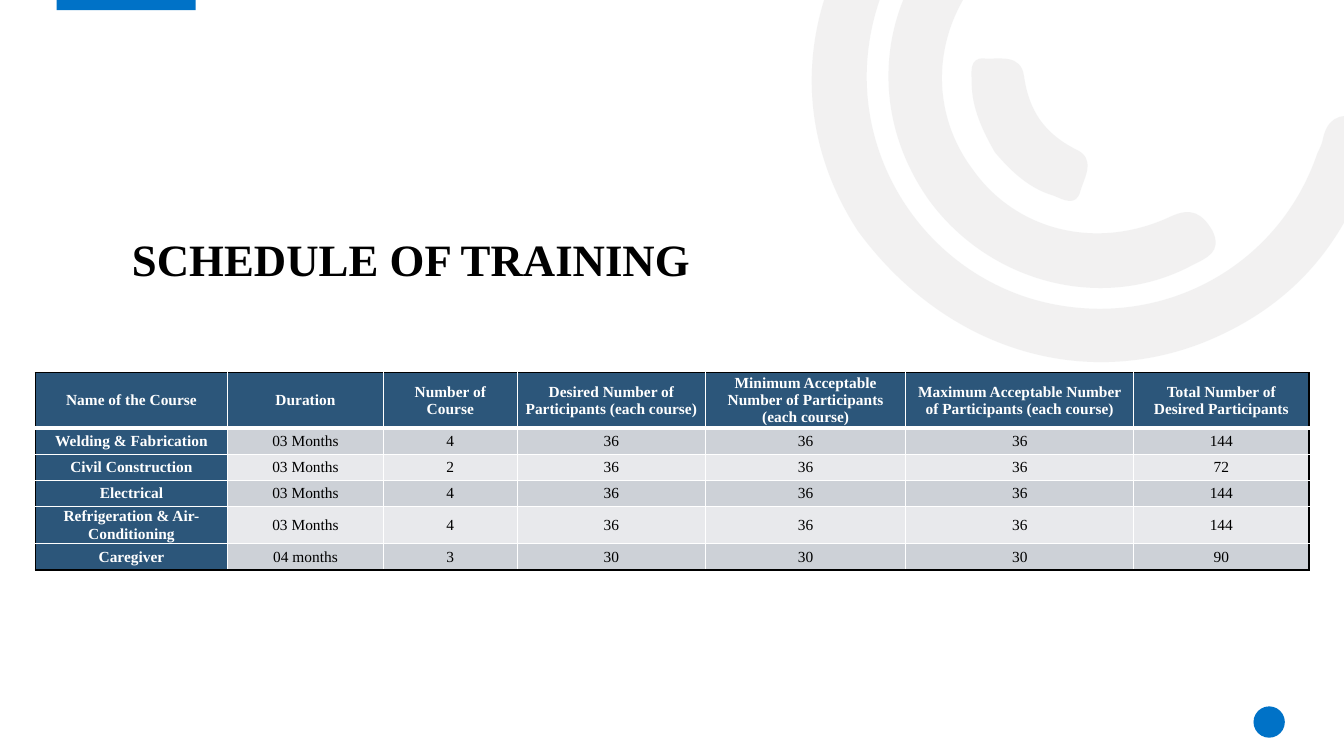
from math import cos, radians, sin

from lxml.etree import SubElement
from pptx import Presentation
from pptx.dml.color import RGBColor
from pptx.enum.shapes import MSO_SHAPE
from pptx.enum.text import MSO_ANCHOR, PP_ALIGN
from pptx.oxml.ns import qn
from pptx.util import Cm, Pt

FONT = "Times New Roman"
COLORS = {
    "accent": "0072C7",
    "arc": "E7E6E6",
    "header": "2C567A",
    "odd": "CDD1D7",
    "even": "E8E9EC",
    "white": "FFFFFF",
    "black": "000000",
}

# Arc outlines as seen on the slide: a start point, then cubic segments
# (two controls and an end). One outline unit is 2.54 cm.
ARC_UNIT = Cm(2.54)
ARC_ROTATION = 144.2
ARCS = [
    [(8.51, 2.29),
     (7.99, 1.49), (7.87, 0.5), (8.38, -0.5),
     (8.9, -1.52), (9.76, -2.03), (10.9, -2.07),
     (11.05, -2.07), (11.21, -2.1), (11.31, -1.95),
     (11.44, -1.75), (11.27, -1.54), (10.98, -1.54),
     (9.67, -1.54), (8.65, -0.59), (8.6, 0.68),
     (8.56, 1.81), (9.36, 2.81), (10.46, 3.02),
     (11.6, 3.24), (12.7, 2.61), (13.07, 1.52),
     (13.09, 1.48), (13.11, 1.44), (13.12, 1.4),
     (13.16, 1.19), (13.27, 1.11), (13.49, 1.17),
     (13.73, 1.24), (13.67, 1.41), (13.61, 1.56),
     (13.34, 2.45), (12.78, 3.07), (11.91, 3.41),
     (10.7, 3.87), (9.36, 3.45), (8.51, 2.29)],
    [(9.22, 1.99),
     (8.62, 1.15), (8.69, 0.07), (9.4, -0.68),
     (9.51, -0.79), (9.62, -0.95), (9.8, -0.78),
     (9.95, -0.64), (9.97, -0.5), (9.79, -0.32),
     (9.25, 0.26), (9.2, 1.08), (9.65, 1.68),
     (10.08, 2.29), (10.88, 2.49), (11.61, 2.15),
     (11.82, 2.05), (11.93, 2.12), (12.03, 2.29),
     (12.13, 2.5), (11.97, 2.56), (11.83, 2.63),
     (10.96, 3.1), (9.83, 2.82), (9.22, 1.99)],
    [(9.87, 1.51),
     (9.75, 1.3), (9.64, 1.07), (9.64, 0.82),
     (9.64, 0.73), (9.61, 0.57), (9.76, 0.58),
     (9.92, 0.59), (10.13, 0.53), (10.16, 0.76),
     (10.21, 1.1), (10.36, 1.32), (10.67, 1.48),
     (10.88, 1.57), (10.76, 1.76), (10.72, 1.89),
     (10.68, 2.06), (10.55, 1.98), (10.45, 1.94),
     (10.21, 1.87), (10.03, 1.7), (9.87, 1.51)],
]

COLUMN_WIDTHS = [4.85, 3.92, 3.38, 4.74, 5.05, 5.74, 4.42]
ROW_HEIGHTS = [1.22] + [0.66] * 5
SCHEDULE = [
    ["Name of the Course", "Duration", "Number of Course",
     "Desired Number of Participants (each course)",
     "Minimum Acceptable Number of Participants (each course)",
     "Maximum Acceptable Number of Participants (each course)",
     "Total Number of Desired Participants"],
    ["Welding & Fabrication", "03 Months", "4", "36", "36", "36", "144"],
    ["Civil Construction", "03 Months", "2", "36", "36", "36", "72"],
    ["Electrical", "03 Months", "4", "36", "36", "36", "144"],
    ["Refrigeration & Air-Conditioning", "03 Months", "4", "36", "36", "36", "144"],
    ["Caregiver", "04 months", "3", "30", "30", "30", "90"],
]


def rgb(name):
    return RGBColor.from_string(COLORS[name])


def write_text(frame, text, *, size, color, bold, line_spacing, space_after=0):
    paragraph = frame.paragraphs[0]
    paragraph.alignment = PP_ALIGN.CENTER
    paragraph.line_spacing = line_spacing
    paragraph.space_after = Pt(space_after)
    run = paragraph.add_run()
    run.text = text
    run.font.name = FONT
    run.font.size = Pt(size)
    run.font.bold = bold
    run.font.color.rgb = rgb(color)


def paint(shape, color):
    shape.shadow.inherit = False
    shape.fill.solid()
    shape.fill.fore_color.rgb = rgb(color)
    shape.line.fill.background()


def add_accent(slide, kind, left, top, width, height):
    shape = slide.shapes.add_shape(kind, Cm(left), Cm(top), Cm(width), Cm(height))
    paint(shape, "accent")


def rotate(x, y, degrees):
    angle = radians(degrees)
    return (round(x * cos(angle) - y * sin(angle)),
            round(x * sin(angle) + y * cos(angle)))


def curve_outline(shape):
    """Turn each three straight segments into one cubic segment."""
    lines = list(shape.element.iter(qn("a:lnTo")))
    for first in range(0, len(lines), 3):
        curve = lines[first]
        cubic = curve.makeelement(qn("a:cubicBezTo"))
        curve.addprevious(cubic)
        for line in lines[first:first + 3]:
            cubic.append(line[0])
            line.getparent().remove(line)


def add_arc(slide, outline):
    # Draw the outline upright, then turn the shape into its place
    points = [rotate(x * ARC_UNIT, y * ARC_UNIT, -ARC_ROTATION) for x, y in outline]
    builder = slide.shapes.build_freeform(*points[0])
    builder.add_line_segments(points[1:], close=True)
    shape = builder.convert_to_shape()
    curve_outline(shape)
    center_x, center_y = rotate(shape.left + shape.width / 2,
                                shape.top + shape.height / 2, ARC_ROTATION)
    shape.left = center_x - shape.width // 2
    shape.top = center_y - shape.height // 2
    shape.rotation = ARC_ROTATION
    paint(shape, "arc")
    for color in shape.element.spPr.iterfind(f"{qn('a:solidFill')}/{qn('a:srgbClr')}"):
        SubElement(color, qn("a:alpha"), val="53000")


def add_title(slide, text):
    box = slide.shapes.add_textbox(Cm(2.97), Cm(5.91), Cm(14.78), Cm(1.3))
    frame = box.text_frame
    frame.word_wrap = True
    frame.vertical_anchor = MSO_ANCHOR.BOTTOM
    frame.margin_left = frame.margin_right = frame.margin_top = frame.margin_bottom = 0
    write_text(frame, text, size=32, color="black", bold=True, line_spacing=0.9)


def set_border(cell, side, color, width):
    line = SubElement(cell._tc.get_or_add_tcPr(), qn(f"a:ln{side}"), w=str(Pt(width)))
    fill = SubElement(line, qn("a:solidFill"))
    SubElement(fill, qn("a:srgbClr"), val=COLORS[color])


def format_cell(cell, text, row, column):
    last_row, last_column = len(ROW_HEIGHTS) - 1, len(COLUMN_WIDTHS) - 1
    heading = row == 0 or column == 0
    cell.vertical_anchor = MSO_ANCHOR.MIDDLE
    cell.margin_left = cell.margin_right = Cm(0.17)
    cell.margin_top = cell.margin_bottom = 0

    # Black outer edge, white inner lines, thick line below the header
    outer_edges = {"L": column == 0, "R": column == last_column,
                   "T": row == 0, "B": row == last_row}
    for side, outer in outer_edges.items():
        width = 3 if row == 0 and side == "B" else 1
        set_border(cell, side, "black" if outer else "white", width)

    cell.fill.solid()
    cell.fill.fore_color.rgb = rgb("header" if heading else "odd" if row % 2 else "even")
    write_text(cell.text_frame, text, size=11, bold=heading,
               color="white" if heading else "black", line_spacing=1.0, space_after=8)


def add_schedule(slide):
    table = slide.shapes.add_table(
        len(SCHEDULE), len(COLUMN_WIDTHS), Cm(0.89), Cm(9.39),
        Cm(sum(COLUMN_WIDTHS)), Cm(sum(ROW_HEIGHTS))).table
    for column, width in zip(table.columns, COLUMN_WIDTHS):
        column.width = Cm(width)
    for row, height in zip(table.rows, ROW_HEIGHTS):
        row.height = Cm(height)
    for row, texts in enumerate(SCHEDULE):
        for column, text in enumerate(texts):
            format_cell(table.cell(row, column), text, row, column)


def main():
    presentation = Presentation()
    presentation.slide_width = Cm(33.87)
    presentation.slide_height = Cm(19.05)
    slide = presentation.slides.add_slide(presentation.slide_layouts[6])

    # Background decoration
    for outline in ARCS:
        add_arc(slide, outline)
    add_accent(slide, MSO_SHAPE.RECTANGLE, 1.43, -0.05, 3.5, 0.31)
    add_accent(slide, MSO_SHAPE.OVAL, 31.59, 17.8, 0.79, 0.79)

    # Content
    add_title(slide, "SCHEDULE OF TRAINING")
    add_schedule(slide)
    presentation.save("out.pptx")


if __name__ == "__main__":
    main()
